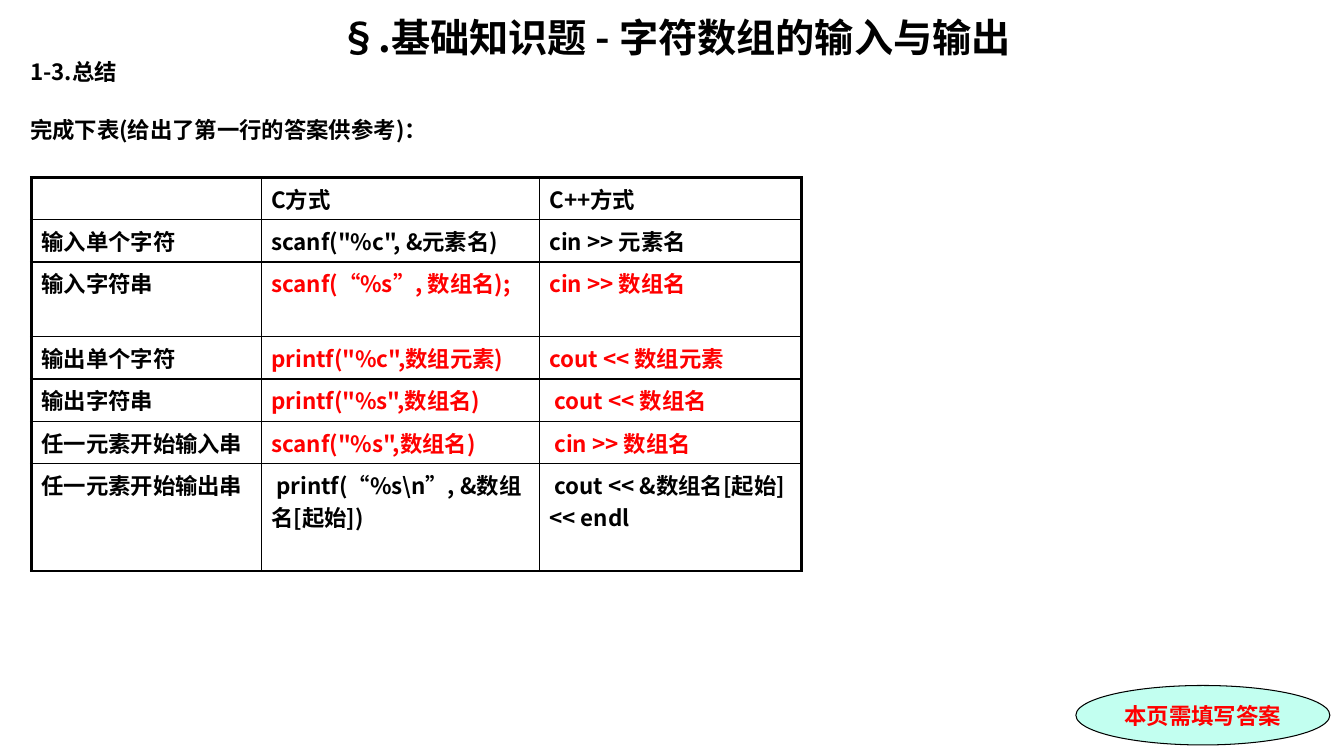
from pptx import Presentation
from pptx.dml.color import RGBColor
from pptx.enum.shapes import MSO_SHAPE
from pptx.enum.text import MSO_ANCHOR as ANCHOR, PP_ALIGN as ALIGN
from pptx.oxml.ns import qn
from pptx.util import Inches, Pt
from lxml.etree import SubElement

BLACK = RGBColor(0x00, 0x00, 0x00)
WHITE = RGBColor(0xFF, 0xFF, 0xFF)
RED = RGBColor(0xFF, 0x00, 0x00)
MINT = RGBColor(0xC2, 0xFF, 0xF0)
SANS = "Noto Sans CJK SC"
SERIF = "Times New Roman"
THIN, THICK = Pt(1), Pt(2.25)

# text, size, alignment, space before
HEADINGS = [
    ("§.基础知识题 - 字符数组的输入与输出", 28, ALIGN.CENTER, 5),
    ("1-3.总结", 16, ALIGN.JUSTIFY, 3),
    ("完成下表(给出了第一行的答案供参考)：", 16, ALIGN.JUSTIFY, 27),
]
# row height, answer colour, cells
ROWS = [
    (5.6, BLACK, ("", "C方式", "C++方式")),
    (5.6, BLACK, ("输入单个字符", 'scanf("%c", &元素名)', "cin >> 元素名")),
    (9.87, RED, ("输入字符串", "scanf(“%s”, 数组名);", "cin >> 数组名")),
    (5.6, RED, ("输出单个字符", 'printf("%c",数组元素)', "cout << 数组元素")),
    (5.6, RED, ("输出字符串", 'printf("%s",数组名)', " cout << 数组名")),
    (5.6, RED, ("任一元素开始输入串", 'scanf("%s",数组名)', " cin >> 数组名")),
    (14.2, BLACK, ("任一元素开始输出串", " printf(“%s\\n”, &数组名[起始])",
                   " cout << &数组名[起始] << endl")),
]
COLUMNS = (17.1, 20.7, 19.5)


class Page:
    """One slide; lengths are percentages of its width and height."""

    def __init__(self, prs):
        self.w, self.h = prs.slide_width, prs.slide_height
        self.s = prs.slides.add_slide(prs.slide_layouts[6])

    def x(self, share):
        return int(self.w * share / 100)

    def y(self, share):
        return int(self.h * share / 100)

    def box(self, left, top, width, height):
        return self.x(left), self.y(top), self.x(width), self.y(height)

    def set_text(self, p, text, size=16, color=BLACK, font=SANS,
                 align=ALIGN.LEFT):
        p.text, p.alignment = text, align
        f = p.font
        f.size, f.bold, f.name = Pt(size), True, font
        f.color.rgb = color
        SubElement(p._p.pPr.find(qn("a:defRPr")), qn("a:ea"), typeface=SANS)

    def headings(self, area, lines):
        tf = self.s.shapes.add_textbox(*self.box(*area)).text_frame
        tf.word_wrap = True
        for i, (text, size, align, gap) in enumerate(lines):
            p = tf.add_paragraph() if i else tf.paragraphs[0]
            self.set_text(p, text, size, align=align)
            p.space_before, p.line_spacing = Pt(gap), 0.77

    def border(self, cell, widths):
        """Draw the left, right, top and bottom edges of a cell."""
        pr = cell._tc.get_or_add_tcPr()
        for i, (side, width) in enumerate(zip("LRTB", widths)):
            ln = SubElement(pr, qn("a:ln" + side), w=str(width))
            fill = SubElement(ln, qn("a:solidFill"))
            SubElement(fill, qn("a:srgbClr"), val=str(BLACK))
            pr.insert(i, ln)

    def table(self, left, top, columns, rows):
        area = self.box(left, top, sum(columns), sum(r[0] for r in rows))
        t = self.s.shapes.add_table(len(rows), len(columns), *area).table
        for col, width in zip(t.columns, columns):
            col.width = self.x(width)
        last_r, last_c = len(rows) - 1, len(columns) - 1
        for r, (height, answer, texts) in enumerate(rows):
            t.rows[r].height = self.y(height)
            for c, text in enumerate(texts):
                cell = t.cell(r, c)
                cell.fill.solid()
                cell.fill.fore_color.rgb = WHITE
                self.set_text(cell.text_frame.paragraphs[0], text,
                              color=answer if c else BLACK)
                outer = (c == 0, c == last_c, r == 0, r == last_r)
                self.border(cell, [THICK if o else THIN for o in outer])

    def badge(self, area, text):
        sp = self.s.shapes.add_shape(MSO_SHAPE.OVAL, *self.box(*area))
        sp.shadow.inherit = False
        sp.fill.solid()
        sp.fill.fore_color.rgb = MINT
        sp.line.color.rgb, sp.line.width = BLACK, Pt(0.75)
        tf = sp.text_frame
        tf.vertical_anchor = ANCHOR.MIDDLE
        self.set_text(tf.paragraphs[0], text, color=RED, font=SERIF,
                      align=ALIGN.CENTER)


def main():
    prs = Presentation()
    prs.slide_width, prs.slide_height = Inches(13.33), Inches(7.5)
    page = Page(prs)
    page.headings((1.5, 2.4, 97.45, 94.53), HEADINGS)
    page.table(2.33, 23.47, COLUMNS, ROWS)
    page.badge((80.05, 90.67, 18.9, 7.87), "本页需填写答案")
    prs.save("out.pptx")


if __name__ == "__main__":
    main()
